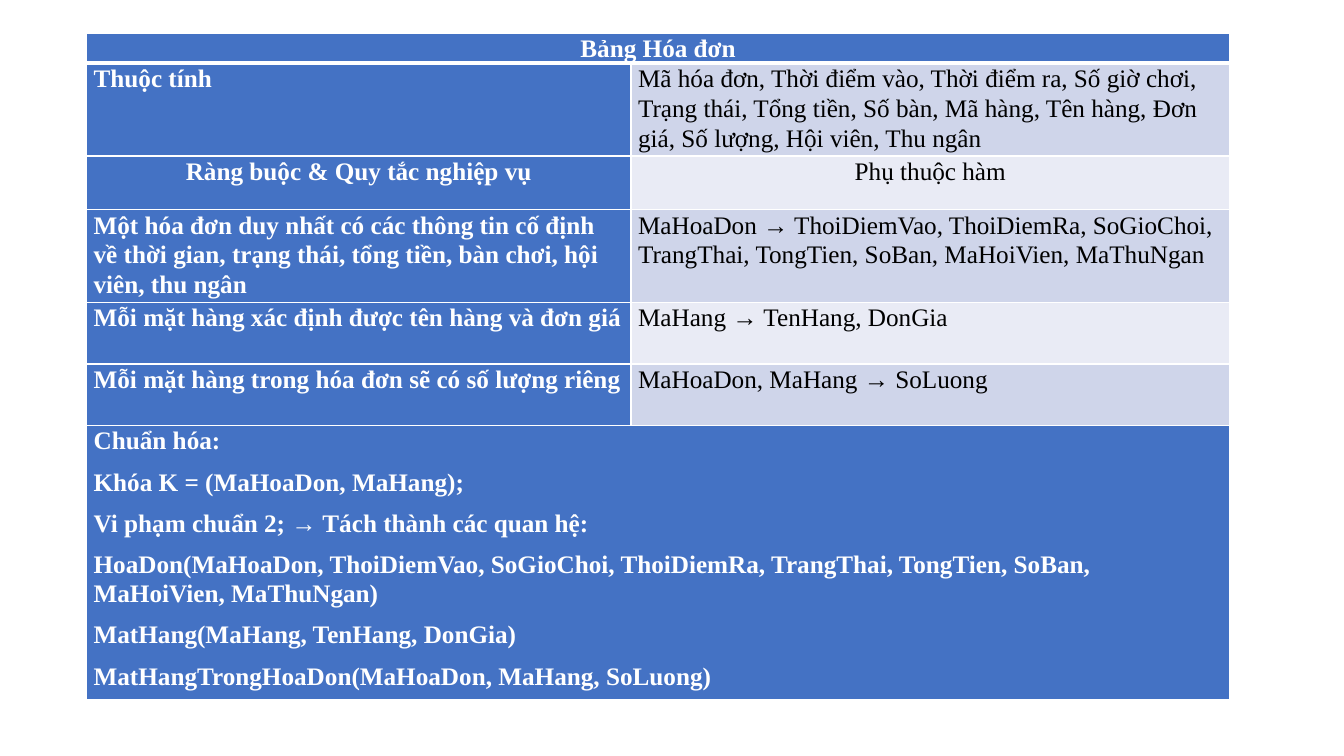
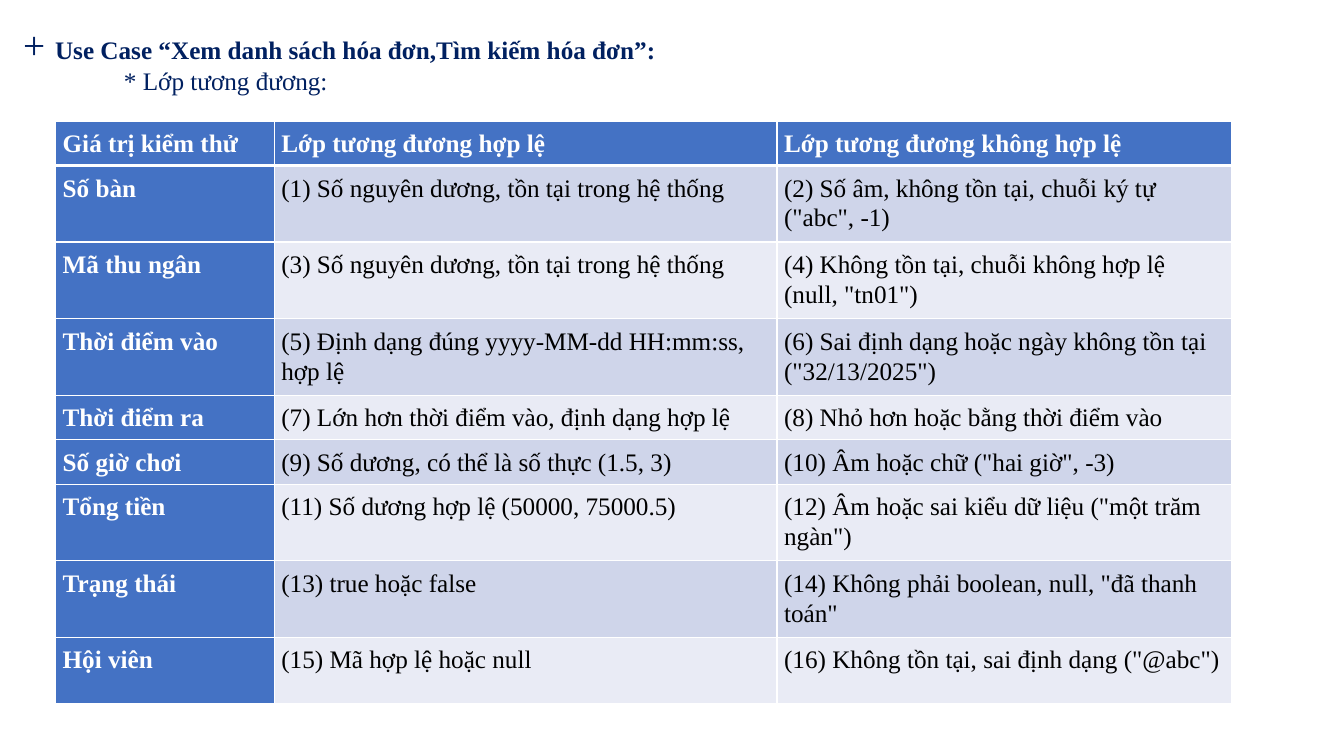
"""Build two slides on invoice normalisation and equivalence classes."""
from dataclasses import dataclass

from lxml import etree
from pptx import Presentation
from pptx.dml.color import RGBColor
from pptx.enum.text import MSO_AUTO_SIZE, PP_ALIGN
from pptx.oxml.ns import qn
from pptx.slide import Slide
from pptx.table import _Cell
from pptx.text.text import _Paragraph
from pptx.util import Cm, Pt

LEFT = PP_ALIGN.LEFT
CENTER = PP_ALIGN.CENTER
NO_AUTOFIT = MSO_AUTO_SIZE.NONE
CONTENT_LAYOUT = 1
BLANK_LAYOUT = 6


@dataclass(frozen=True)
class Theme:
    font: str = "Times New Roman"
    accent: str = "4472C4"
    bands: tuple[str, str] = ("E9EBF5", "CFD5EA")
    white: str = "FFFFFF"
    black: str = "000000"
    navy: str = "002060"
    text_size: float = 18
    marker_size: float = 28
    table_spacing: float = 1.07
    heading_spacing: float = 0.9
    space_after: float = 8
    border: float = 1
    header_border: float = 3
    side_margin: float = 0.18


THEME = Theme()


@dataclass(frozen=True)
class TableSpec:
    left: float
    top: float
    columns: tuple[float, ...]
    heights: tuple[float, ...]
    rows: tuple[tuple[str, ...], ...]
    vertical_margin: float = 0
    centered_rows: tuple[int, ...] = ()


INVOICE_TABLE = TableSpec(
    left=2.18,
    top=0.84,
    columns=(13.72, 15.09),
    heights=(0.74, 2.34, 1.35, 2.34, 1.55, 1.55, 6.91),
    centered_rows=(0, 2),
    rows=(
        ("Bảng Hóa đơn",),
        ("Thuộc tính",
         "Mã hóa đơn, Thời điểm vào, Thời điểm ra, Số giờ chơi, Trạng thái, Tổng tiền, "
         "Số bàn, Mã hàng, Tên hàng, Đơn giá, Số lượng, Hội viên, Thu ngân"),
        ("Ràng buộc & Quy tắc nghiệp vụ", "Phụ thuộc hàm"),
        ("Một hóa đơn duy nhất có các thông tin cố định về thời gian, trạng thái, "
         "tổng tiền, bàn chơi, hội viên, thu ngân",
         "MaHoaDon → ThoiDiemVao, ThoiDiemRa, SoGioChoi, TrangThai, TongTien, SoBan, "
         "MaHoiVien, MaThuNgan"),
        ("Mỗi mặt hàng xác định được tên hàng và đơn giá", "MaHang → TenHang, DonGia"),
        ("Mỗi mặt hàng trong hóa đơn sẽ có số lượng riêng", "MaHoaDon, MaHang → SoLuong"),
        ("Chuẩn hóa:\n"
         "Khóa K = (MaHoaDon, MaHang);\n"
         "Vi phạm chuẩn 2; → Tách thành các quan hệ:\n"
         "HoaDon(MaHoaDon, ThoiDiemVao, SoGioChoi, ThoiDiemRa, TrangThai, TongTien, "
         "SoBan, MaHoiVien, MaThuNgan)\n"
         "MatHang(MaHang, TenHang, DonGia)\n"
         "MatHangTrongHoaDon(MaHoaDon, MaHang, SoLuong)",),
    ),
)

EQUIVALENCE_TABLE = TableSpec(
    left=1.4,
    top=3.05,
    columns=(5.51, 12.67, 11.46),
    heights=(1.12, 1.93, 1.93, 1.93, 1.12, 1.12, 1.93, 1.93, 1.68),
    vertical_margin=0.18,
    rows=(
        ("Giá trị kiểm thử", "Lớp tương đương hợp lệ", "Lớp tương đương không hợp lệ"),
        ("Số bàn", "(1) Số nguyên dương, tồn tại trong hệ thống",
         '(2) Số âm, không tồn tại, chuỗi ký tự ("abc", -1)'),
        ("Mã thu ngân", "(3) Số nguyên dương, tồn tại trong hệ thống",
         '(4) Không tồn tại, chuỗi không hợp lệ (null, "tn01")'),
        ("Thời điểm vào", "(5) Định dạng đúng yyyy-MM-dd HH:mm:ss, hợp lệ",
         '(6) Sai định dạng hoặc ngày không tồn tại ("32/13/2025")'),
        ("Thời điểm ra", "(7) Lớn hơn thời điểm vào, định dạng hợp lệ",
         "(8) Nhỏ hơn hoặc bằng thời điểm vào"),
        ("Số giờ chơi", "(9) Số dương, có thể là số thực (1.5, 3)",
         '(10) Âm hoặc chữ ("hai giờ", -3)'),
        ("Tổng tiền", "(11) Số dương hợp lệ (50000, 75000.5)",
         '(12) Âm hoặc sai kiểu dữ liệu ("một trăm ngàn")'),
        ("Trạng thái", "(13) true hoặc false",
         '(14) Không phải boolean, null, "đã thanh toán"'),
        ("Hội viên", "(15) Mã hợp lệ hoặc null",
         '(16) Không tồn tại, sai định dạng ("@abc")'),
    ),
)


def write_text(
    paragraph: _Paragraph,
    text: str,
    *,
    color: str,
    size: float = THEME.text_size,
    bold: bool = False,
    align: PP_ALIGN = LEFT,
    line_spacing: float = THEME.table_spacing,
    space_after: float = 0,
) -> None:
    """Append a formatted run and set the paragraph's layout."""
    paragraph.alignment = align
    paragraph.line_spacing = line_spacing
    paragraph.space_before = Pt(0)
    paragraph.space_after = Pt(space_after)
    run = paragraph.add_run()
    run.text = text
    run.font.name = THEME.font
    run.font.size = Pt(size)
    run.font.bold = bold
    run.font.color.rgb = RGBColor.from_string(color)


def set_borders(cell: _Cell, bottom_width: float) -> None:
    """Give a cell white borders, with its own bottom width."""
    properties = cell._tc.get_or_add_tcPr()
    for position, side in enumerate(("lnL", "lnR", "lnT", "lnB")):
        width = bottom_width if side == "lnB" else THEME.border
        line = etree.Element(qn(f"a:{side}"), w=str(Pt(width)))
        fill = etree.SubElement(line, qn("a:solidFill"))
        etree.SubElement(fill, qn("a:srgbClr"), val=THEME.white)
        properties.insert(position, line)


def format_cell(cell: _Cell, text: str, spec: TableSpec, row: int, column: int) -> None:
    """Fill one cell, treating the first row and column as headings."""
    heading = row == 0 or column == 0
    cell.fill.solid()
    cell.fill.fore_color.rgb = RGBColor.from_string(
        THEME.accent if heading else THEME.bands[row % 2])
    cell.margin_left = cell.margin_right = Cm(THEME.side_margin)
    cell.margin_top = cell.margin_bottom = Cm(spec.vertical_margin)
    set_borders(cell, THEME.header_border if row == 0 else THEME.border)
    frame = cell.text_frame
    for index, line in enumerate(text.split("\n")):
        write_text(
            frame.add_paragraph() if index else frame.paragraphs[0],
            line,
            color=THEME.white if heading else THEME.black,
            bold=heading,
            align=CENTER if row in spec.centered_rows else LEFT,
            space_after=THEME.space_after,
        )


def add_grid(slide: Slide, spec: TableSpec) -> None:
    """Draw a table; a row with a single text spans all columns."""
    table = slide.shapes.add_table(
        len(spec.rows), len(spec.columns), Cm(spec.left), Cm(spec.top),
        Cm(sum(spec.columns)), Cm(sum(spec.heights))).table
    table.first_col = True
    for column, width in zip(table.columns, spec.columns):
        column.width = Cm(width)
    for row, (texts, height) in enumerate(zip(spec.rows, spec.heights)):
        table.rows[row].height = Cm(height)
        if len(texts) == 1:
            table.cell(row, 0).merge(table.cell(row, len(spec.columns) - 1))
        for column, text in enumerate(texts):
            format_cell(table.cell(row, column), text, spec, row, column)


def plain_paragraph(paragraph: _Paragraph, indent: float = 0) -> _Paragraph:
    """Remove the bullet and set the left indent."""
    properties = paragraph._p.get_or_add_pPr()
    properties.set("marL", str(Cm(indent)))
    properties.set("indent", "0")
    etree.SubElement(properties, qn("a:buNone"))
    return paragraph


def add_heading(slide: Slide) -> None:
    """Write the use case heading in the body placeholder."""
    title = slide.shapes.title
    title.element.getparent().remove(title.element)
    body = slide.placeholders[1]
    body.left, body.top, body.width, body.height = Cm(0.33), Cm(0.53), Cm(31.22), Cm(16.61)
    frame = body.text_frame
    frame.auto_size = NO_AUTOFIT
    spacing = THEME.heading_spacing
    use_case = plain_paragraph(frame.paragraphs[0])
    write_text(use_case, "+ ", color=THEME.navy, size=THEME.marker_size, line_spacing=spacing)
    write_text(use_case, "Use Case “Xem danh sách hóa đơn,Tìm kiếm hóa đơn”:",
               color=THEME.navy, bold=True, line_spacing=spacing)
    write_text(plain_paragraph(frame.add_paragraph(), indent=2.54), "* Lớp tương đương:",
               color=THEME.navy, line_spacing=spacing)


def main() -> None:
    """Create the presentation and save it."""
    presentation = Presentation()
    presentation.slide_width, presentation.slide_height = Cm(33.87), Cm(19.05)
    layouts = presentation.slide_layouts
    add_grid(presentation.slides.add_slide(layouts[BLANK_LAYOUT]), INVOICE_TABLE)
    equivalence_slide = presentation.slides.add_slide(layouts[CONTENT_LAYOUT])
    add_heading(equivalence_slide)
    add_grid(equivalence_slide, EQUIVALENCE_TABLE)
    presentation.save("out.pptx")


if __name__ == "__main__":
    main()
